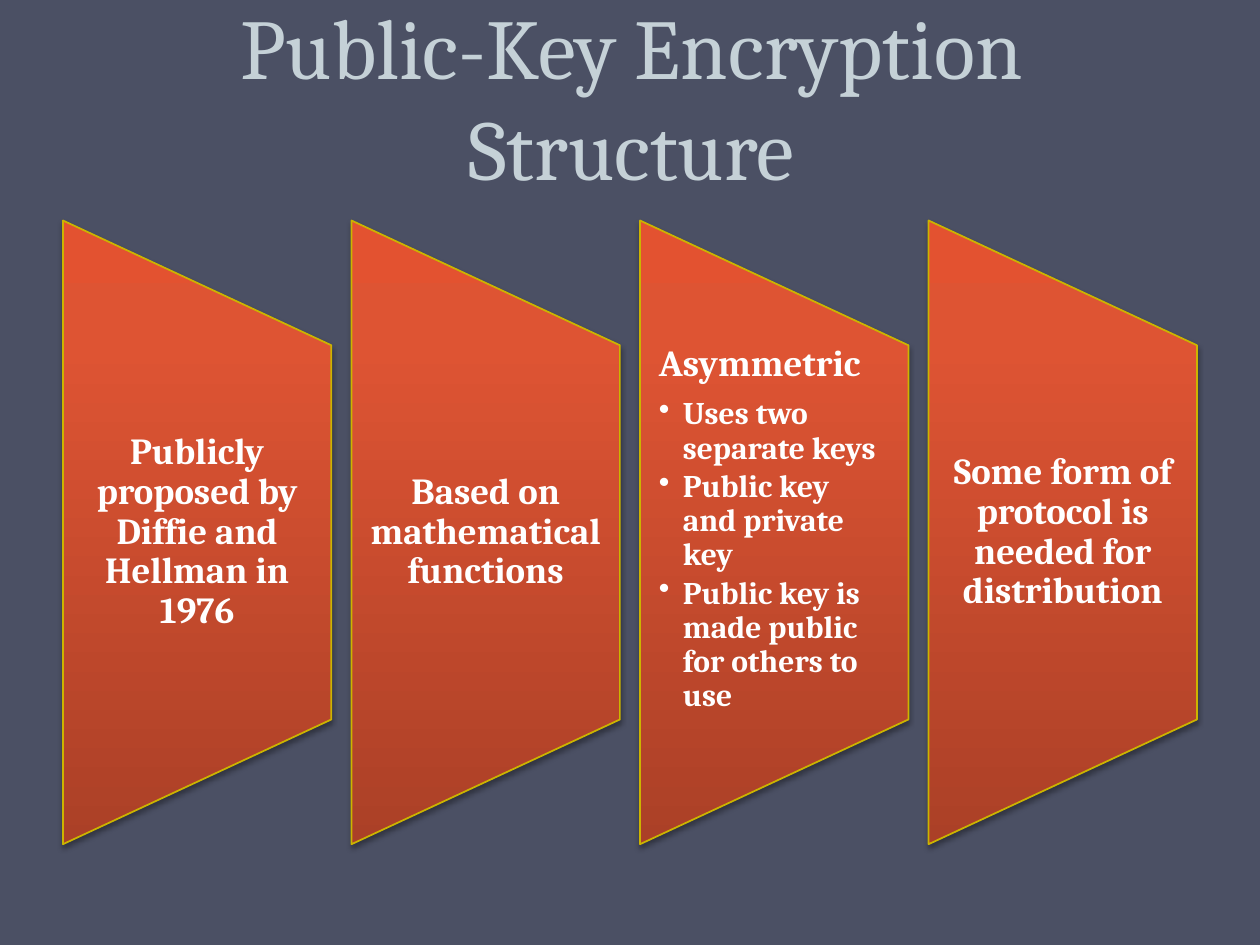
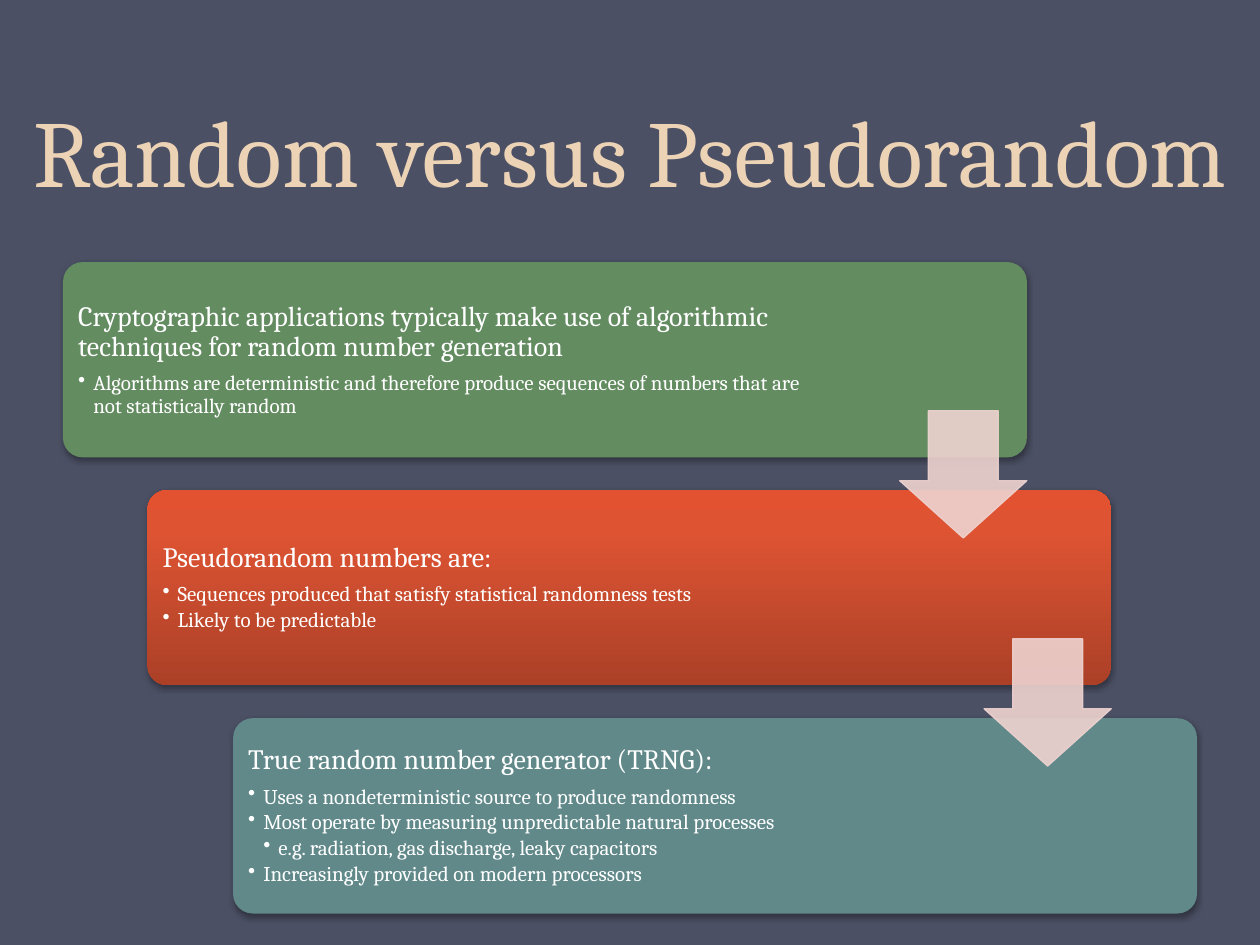
from copy import deepcopy
from dataclasses import dataclass

from lxml.etree import SubElement
from pptx import Presentation
from pptx.dml.color import RGBColor
from pptx.enum.shapes import MSO_SHAPE as Shape
from pptx.enum.text import MSO_ANCHOR as Anchor, MSO_AUTO_SIZE as AutoSize, PP_ALIGN as Align
from pptx.oxml.ns import qn
from pptx.util import Pt

EMU_PER_PX = 9144  # 100 px to the inch
SLIDE_SIZE = (1000, 750)


def px(length):
    return int(length * EMU_PER_PX)


@dataclass(frozen=True)
class Theme:
    font: str = "Cambria"
    background: str = "4B5064"
    text: str = "FFFFFF"
    title_cool: str = "C5D1D7"
    title_warm: str = "EDD3B6"
    gold: str = "CCB400"
    green: str = "648C61"
    teal: str = "61898A"
    arrow: str = "EED3D0"
    ember: tuple = ((0, "AB4027"), (0.8, "DE5433"), (1, "E35230"))
    title_leading: int = 58
    panel_sizes: tuple = (21, 18)
    step_sizes: tuple = (16, 12)


class Deck:
    """Holds the theme and the slide being built."""

    def __init__(self, theme):
        self.theme = theme
        self.file = Presentation()
        self.file.slide_width, self.file.slide_height = map(px, SLIDE_SIZE)
        backdrop = self.file.slide_master.background.fill
        backdrop.solid()
        backdrop.fore_color.rgb = RGBColor.from_string(theme.background)
        self.slide = None

    def new_slide(self, title, box, size, color):
        self.slide = self.file.slides.add_slide(self.file.slide_layouts[5])
        heading = self.slide.shapes.title
        heading.left, heading.top, heading.width, heading.height = map(px, box)
        frame = heading.text_frame
        frame.text = title
        frame.word_wrap = True
        frame.auto_size = AutoSize.NONE
        frame.vertical_anchor = Anchor.BOTTOM
        paragraph = frame.paragraphs[0]
        paragraph.alignment = Align.CENTER
        paragraph.line_spacing = Pt(self.theme.title_leading)
        self.style_font(paragraph, size, color)

    def style_font(self, paragraph, size, color, bold=False):
        for run in paragraph.runs:
            run.font.name = self.theme.font
            run.font.size = Pt(size)
            run.font.bold = bold
            run.font.color.rgb = RGBColor.from_string(color)

    def shape(self, kind, box, fill, line=None, line_width=1, shadow=True):
        shape = self.slide.shapes.add_shape(kind, *map(px, box))
        if isinstance(fill, tuple):
            self.fill_gradient(shape, fill)
        else:
            shape.fill.solid()
            shape.fill.fore_color.rgb = RGBColor.from_string(fill)
        if line:
            shape.line.color.rgb = RGBColor.from_string(line)
            shape.line.width = Pt(line_width)
        else:
            shape.line.fill.background()
        shape.shadow.inherit = False
        if shadow:
            self.cast_shadow(shape)
        return shape

    def fill_gradient(self, shape, stops):
        shape.fill.gradient()
        shape.fill.gradient_angle = 90
        gradient = shape.element.spPr.find(qn("a:gradFill"))
        gradient.set("rotWithShape", "0")  # stays upright on turned shapes
        stop_list = gradient.find(qn("a:gsLst"))
        stop_list.append(deepcopy(stop_list[0]))
        for stop, (position, color) in zip(shape.fill.gradient_stops, stops):
            stop.position = position
            stop.color.rgb = RGBColor.from_string(color)

    def cast_shadow(self, shape):
        effects = shape.element.spPr.find(qn("a:effectLst"))
        outer = SubElement(effects, qn("a:outerShdw"), blurRad=str(Pt(3.1)),
                           dist=str(Pt(1.8)), dir="5400000", rotWithShape="0")
        black = SubElement(outer, qn("a:srgbClr"), val="000000")
        SubElement(black, qn("a:alpha"), val="35000")

    def panel(self, left, top, width, height):
        """A manual-operation shape turned on its side to fill the given box."""
        turned = (left + (width - height) / 2, top + (height - width) / 2, height, width)
        panel = self.shape(Shape.FLOWCHART_MANUAL_OPERATION, turned,
                           self.theme.ember, self.theme.gold)
        panel.rotation = 270

    def step(self, box, fill):
        step = self.shape(Shape.ROUNDED_RECTANGLE, box, fill)
        step.adjustments[0] = 0.1

    def down_arrow(self, box):
        arrow = self.shape(Shape.DOWN_ARROW, box, self.theme.arrow,
                           self.theme.arrow, 0.75, shadow=False)
        arrow.adjustments[0], arrow.adjustments[1] = 0.55, 0.45
        for color in arrow.element.spPr.iter(qn("a:srgbClr")):
            SubElement(color, qn("a:alpha"), val="90000")

    def text(self, box, lines, sizes, insets, indent=0, align=Align.LEFT,
             anchor=Anchor.MIDDLE, bold=False):
        """Write (level, wording) lines; levels above 0 are bulleted."""
        frame = self.slide.shapes.add_textbox(*map(px, box)).text_frame
        frame.word_wrap = True
        frame.vertical_anchor = anchor
        frame.margin_left = frame.margin_right = px(insets[0])
        frame.margin_top = frame.margin_bottom = px(insets[1])
        for number, (level, wording) in enumerate(lines):
            paragraph = frame.add_paragraph() if number else frame.paragraphs[0]
            paragraph.text = wording
            paragraph.alignment = align
            paragraph.level = level
            paragraph.line_spacing = 0.9
            size = sizes[min(level, 1)]
            paragraph.space_after = Pt(size * (0.15 if level else 0.35))
            self.style_font(paragraph, size, self.theme.text, bold)
            if level:
                self.bullet(paragraph, level, indent)

    def bullet(self, paragraph, level, indent):
        properties = paragraph._p.get_or_add_pPr()
        properties.set("marL", str(px(indent * level)))
        properties.set("indent", str(-px(indent)))
        SubElement(properties, qn("a:buChar"), char="•")


def build_public_key(deck):
    theme = deck.theme
    deck.new_slide("Public-Key Encryption Structure", (51, 21, 900, 141),
                   48.6, theme.title_cool)
    panels = [
        [(0, "Publicly proposed by Diffie and Hellman in 1976")],
        [(0, "Based on mathematical functions")],
        [(0, "Asymmetric"),
         (1, "Uses two separate keys"),
         (1, "Public key and private key"),
         (1, "Public key is made public for others to use")],
        [(0, "Some form of protocol is needed for distribution")],
    ]
    top, width, height, pitch = 175, 213, 495, 229
    for column, lines in enumerate(panels):
        left = 50 + column * pitch
        has_bullets = len(lines) > 1
        deck.panel(left, top, width, height)
        # Wording fills the middle three fifths, between the slanted edges
        deck.text((left, top + height // 5, width, height * 3 // 5), lines,
                  theme.panel_sizes, insets=(15, 0), indent=19, bold=True,
                  align=Align.LEFT if has_bullets else Align.CENTER,
                  anchor=Anchor.TOP if has_bullets else Anchor.MIDDLE)


def build_random(deck):
    theme = deck.theme
    deck.new_slide("Random versus Pseudorandom", (0, 44, 1000, 125),
                   54, theme.title_warm)
    steps = [
        (theme.green, 598, [
            (0, "Cryptographic applications typically make use of algorithmic "
                "techniques for random number generation"),
            (1, "Algorithms are deterministic and therefore produce sequences "
                "of numbers that are not statistically random")]),
        (theme.ember, 588, [
            (0, "Pseudorandom numbers are:"),
            (1, "Sequences produced that satisfy statistical randomness tests"),
            (1, "Likely to be predictable")]),
        (theme.teal, 588, [
            (0, "True random number generator (TRNG):"),
            (1, "Uses a nondeterministic source to produce randomness"),
            (1, "Most operate by measuring unpredictable natural processes"),
            (2, "e.g. radiation, gas discharge, leaky capacitors"),
            (1, "Increasingly provided on modern processors")]),
    ]
    width, height, padding, arrow = 765, 155, 5, 101
    corners = [(50 + 135 * row // 2, 208 + 181 * row) for row in range(len(steps))]

    # Staircase of steps
    for (left, top), (fill, text_width, lines) in zip(corners, steps):
        deck.step((left, top, width, height), fill)
        deck.text((left + padding, top + padding, text_width, height - 2 * padding),
                  lines, theme.step_sizes, insets=(7, 7), indent=12)

    # Arrows flush with the right edge, leading to the next step
    for left, top in corners[:-1]:
        deck.down_arrow((left + width - arrow, top + 118, arrow, arrow))


def main():
    deck = Deck(Theme())
    build_public_key(deck)
    build_random(deck)
    deck.file.save("out.pptx")


if __name__ == "__main__":
    main()
